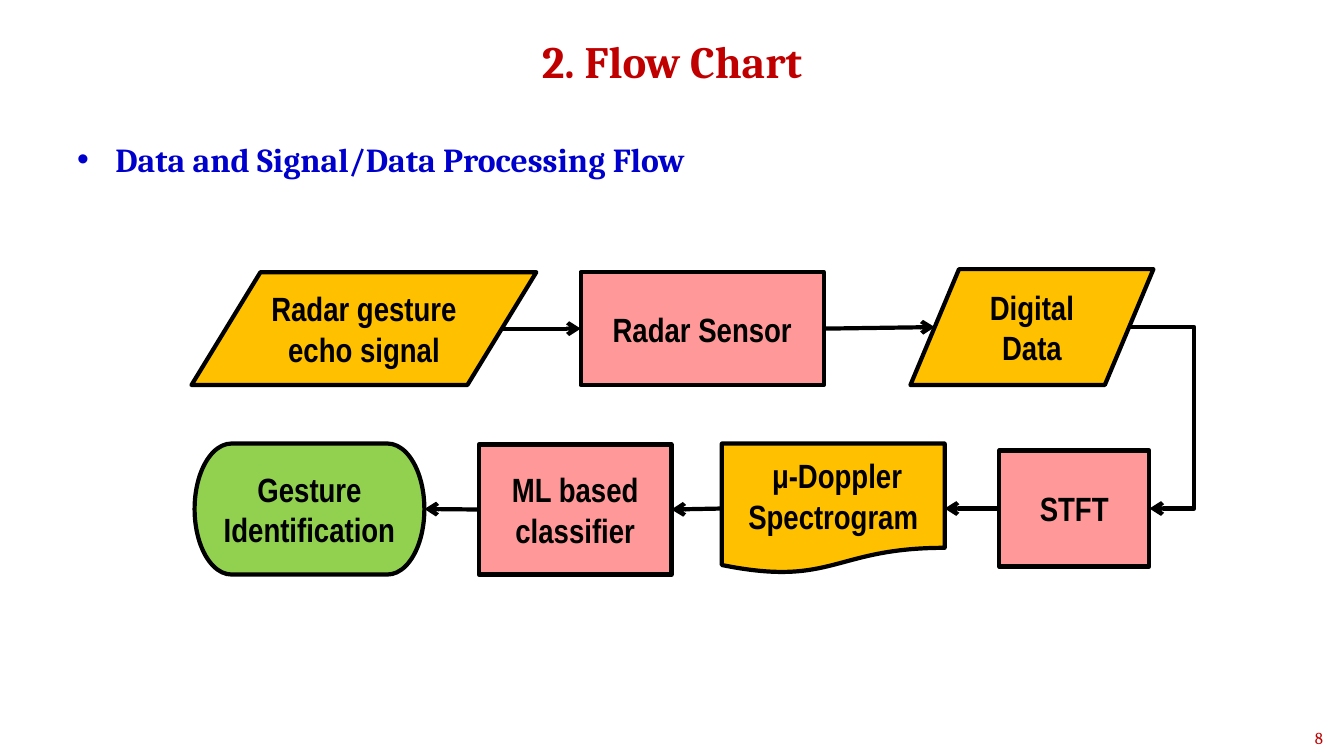
from pptx import Presentation
from pptx.dml.color import RGBColor
from pptx.enum.shapes import MSO_CONNECTOR, MSO_SHAPE
from pptx.enum.text import MSO_ANCHOR, PP_ALIGN
from pptx.oxml.ns import qn
from pptx.util import Inches, Pt
from lxml.etree import SubElement

WIDTH, HEIGHT = Inches(13.33), Inches(7.5)
COLORS = {
    "title": "C00000", "topic": "0000CC", "ink": "000000",
    "data": "FFC000", "process": "FF9999", "result": "92D050",
}
HEADING_FONT, CHART_FONT = "Cambria", "Arial Narrow"
LEFT, RIGHT = 1, 3
SLANT = 0.1  # share of a parallelogram's width lost at mid-height

# key: preset, colour, then left, middle, width, height in % of the slide, lines
STEPS = {
    "echo": (MSO_SHAPE.FLOWCHART_DATA, "data", 14.25, 43.47, 25.66, 14.93,
             ["Radar gesture echo signal"]),
    "sensor": (MSO_SHAPE.FLOWCHART_PROCESS, "process", 43.21, 43.47, 18.08, 14.93,
               ["Radar Sensor"]),
    "classifier": (MSO_SHAPE.FLOWCHART_PROCESS, "process", 35.63, 67.4, 14.33, 17.2,
                   ["ML based", "classifier"]),
    "stft": (MSO_SHAPE.FLOWCHART_PROCESS, "process", 74.34, 67.27, 11.18, 15.33,
             ["STFT"]),
    "digital": (MSO_SHAPE.FLOWCHART_DATA, "data", 67.74, 43.27, 18.08, 15.33,
                ["Digital Data"]),
    "spectrogram": (MSO_SHAPE.FLOWCHART_DOCUMENT, "data", 53.71, 67.27, 16.58, 17.2,
                    [" μ-Doppler", "Spectrogram"]),
    "gesture": (MSO_SHAPE.FLOWCHART_TERMINATOR, "result", 14.48, 67.33, 17.1, 17.33,
                ["Gesture Identification"]),
}


def across(percent):
    return round(WIDTH * percent / 100)


def down(percent):
    return round(HEIGHT * percent / 100)


def rgb(name):
    return RGBColor.from_string(COLORS[name])


def add_run(paragraph, text, size, font, color, bold=True):
    run = paragraph.add_run()
    run.text = text
    run.font.size, run.font.name, run.font.bold = Pt(size), font, bold
    run.font.color.rgb = rgb(color)


def add_heading(slide, box, text, size, color, align, anchor, bold=True):
    """Add one line of text in a box given in % of the slide."""
    left, top, width, height = box
    frame = slide.shapes.add_textbox(
        across(left), down(top), across(width), down(height)).text_frame
    frame.word_wrap = True
    frame.vertical_anchor = anchor
    paragraph = frame.paragraphs[0]
    paragraph.alignment = align
    add_run(paragraph, text, size, HEADING_FONT, color, bold)
    return paragraph


def add_bullet(paragraph, indent):
    properties = paragraph._p.get_or_add_pPr()
    properties.set("marL", str(indent))
    properties.set("indent", str(-indent))
    SubElement(properties, qn("a:buFont"), typeface="Arial")
    SubElement(properties, qn("a:buChar"), char="•")


def add_step(slide, preset, color, left, middle, width, height, lines):
    step = slide.shapes.add_shape(
        preset, across(left), down(middle - height / 2), across(width), down(height))
    step.shadow.inherit = False
    step.fill.solid()
    step.fill.fore_color.rgb = rgb(color)
    step.line.color.rgb = rgb("ink")
    step.line.width = Pt(3)
    frame = step.text_frame
    frame.word_wrap = True
    frame.vertical_anchor = MSO_ANCHOR.MIDDLE
    for number, line in enumerate(lines):
        paragraph = frame.add_paragraph() if number else frame.paragraphs[0]
        paragraph.alignment = PP_ALIGN.CENTER
        add_run(paragraph, line, 24, CHART_FONT, "ink")
    return step


def is_slanted(step):
    return step.auto_shape_type == MSO_SHAPE.FLOWCHART_DATA


def side_point(step, side):
    """Return the point where the outline crosses mid-height on a side."""
    inset = round(step.width * SLANT) if is_slanted(step) else 0
    x = step.left + inset if side == LEFT else step.left + step.width - inset
    return x, step.top + step.height // 2


def add_arrow(slide, kind, source, source_side, target, target_side):
    arrow = slide.shapes.add_connector(
        kind, *side_point(source, source_side), *side_point(target, target_side))
    if kind == MSO_CONNECTOR.STRAIGHT:
        if not is_slanted(source):
            arrow.begin_connect(source, source_side)
        if not is_slanted(target):
            arrow.end_connect(target, target_side)
    arrow.line.color.rgb = rgb("ink")
    arrow.line.width = Pt(3)
    SubElement(arrow.line._get_or_add_ln(), qn("a:tailEnd"), type="arrow")
    SubElement(arrow._element.spPr, qn("a:effectLst"))
    return arrow


def bend_at(arrow, share):
    """Place the elbow's upright at a share of the connector's width."""
    adjustments = arrow._element.spPr.find(qn("a:prstGeom")).get_or_add_avLst()
    SubElement(adjustments, qn("a:gd"), name="adj1", fmla=f"val {round(share * 100000)}")


def main():
    deck = Presentation()
    deck.slide_width, deck.slide_height = WIDTH, HEIGHT
    slide = deck.slides.add_slide(deck.slide_layouts[6])

    add_heading(slide, (90.85, 95.6, 8.33, 4), "8", 12, "title",
                PP_ALIGN.RIGHT, MSO_ANCHOR.TOP, bold=False)
    add_heading(slide, (0, 3.33, 100, 9.33), "2. Flow Chart", 32, "title",
                PP_ALIGN.CENTER, MSO_ANCHOR.MIDDLE)
    topic = add_heading(slide, (5, 17.73, 91.67, 5.6),
                        "Data and Signal/Data Processing Flow", 24, "topic",
                        PP_ALIGN.LEFT, MSO_ANCHOR.TOP)
    add_bullet(topic, Inches(0.38))
    topic.space_after = Pt(6)

    steps = {key: add_step(slide, *step) for key, step in STEPS.items()}
    for source, target in (("echo", "sensor"), ("sensor", "digital")):
        add_arrow(slide, MSO_CONNECTOR.STRAIGHT,
                  steps[source], RIGHT, steps[target], LEFT)
    turn = add_arrow(slide, MSO_CONNECTOR.ELBOW,
                     steps["digital"], RIGHT, steps["stft"], RIGHT)
    bend_at(turn, 3.21)
    for source, target in (("stft", "spectrogram"), ("spectrogram", "classifier"),
                           ("classifier", "gesture")):
        add_arrow(slide, MSO_CONNECTOR.STRAIGHT,
                  steps[source], LEFT, steps[target], RIGHT)

    deck.save("out.pptx")


if __name__ == "__main__":
    main()
